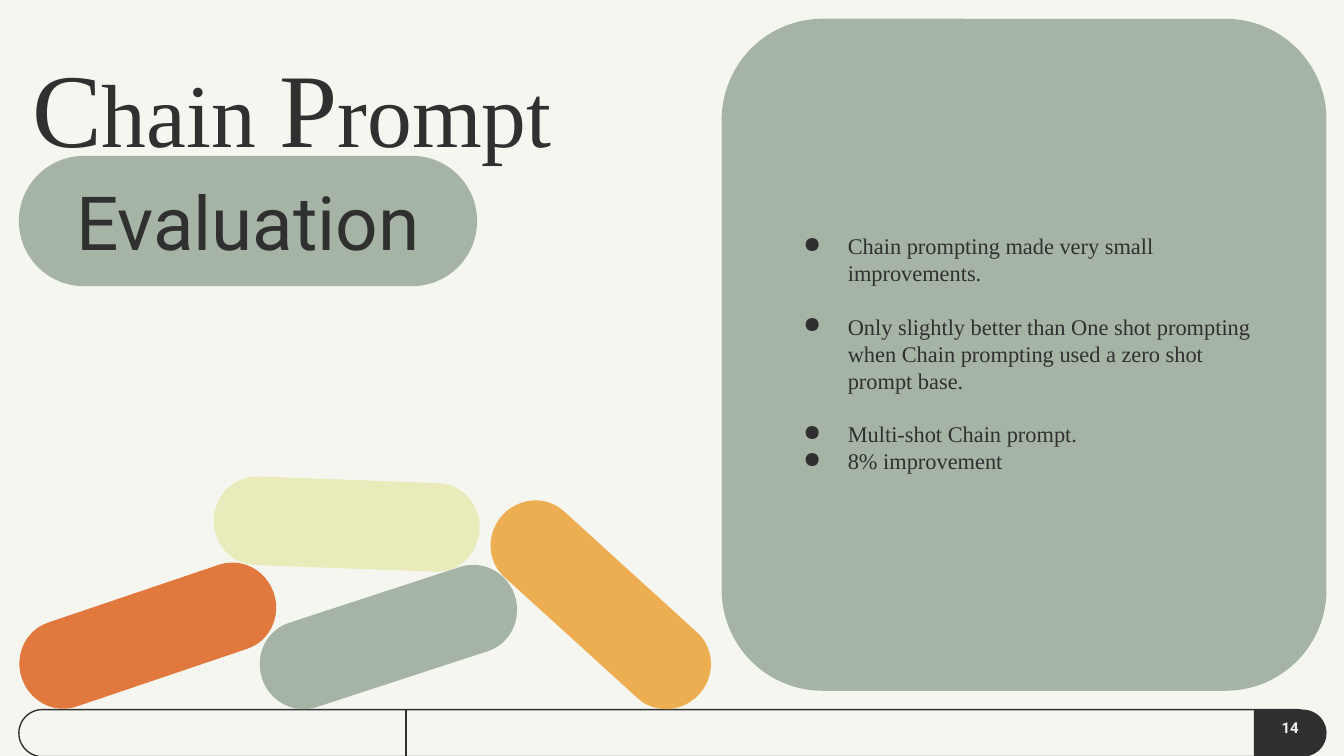
from lxml import etree
from pptx import Presentation
from pptx.dml.color import RGBColor
from pptx.enum.shapes import MSO_CONNECTOR as Link, MSO_SHAPE as Kind
from pptx.enum.text import MSO_ANCHOR as Anchor, PP_ALIGN as Align
from pptx.oxml.ns import qn
from pptx.util import Inches, Pt

INK, PAPER, SAGE = "303030", "F6F6F1", "A5B4A5"
SERIF, SANS = "Times New Roman", "Roboto"
PAD = 0.1


def color(code):
    return RGBColor.from_string(code)


def shape(slide, kind, box, fill=None, line=None, adj=(), turn=0):
    item = slide.shapes.add_shape(kind, *map(Inches, box))
    item.shadow.inherit = False
    item.rotation = turn
    for i, value in enumerate(adj):
        item.adjustments[i] = value
    if fill:
        item.fill.solid()
        item.fill.fore_color.rgb = color(fill)
    else:
        item.fill.background()
    if line:
        item.line.color.rgb = color(line)
        item.line.width = Pt(0.75)
    else:
        item.line.fill.background()
    return item


def frame(item, anchor=Anchor.TOP, top=PAD):
    text = item.text_frame
    form = {"word_wrap": True, "vertical_anchor": anchor,
            "margin_left": Inches(PAD), "margin_right": Inches(PAD),
            "margin_top": Inches(top), "margin_bottom": Inches(PAD)}
    for name, value in form.items():
        setattr(text, name, value)
    return text


def write(para, words, size, face, tint=INK, bold=False):
    run = para.add_run()
    run.text = words
    form = {"size": Pt(size), "name": face, "bold": bold}
    for name, value in form.items():
        setattr(run.font, name, value)
    run.font.color.rgb = color(tint)


def bullet(para):
    props = para._p.get_or_add_pPr()
    props.set("marL", str(Inches(0.5)))
    props.set("indent", str(Inches(-0.33)))
    tint = etree.SubElement(props, qn("a:buClr"))
    etree.SubElement(tint, qn("a:srgbClr"), val=INK)
    etree.SubElement(props, qn("a:buChar"), char="●")


def footer(slide, left, top, width, high, page):
    # Sideways shapes: the rounded top turns to the right
    def side(x, wide, adj, **look):
        box = (x + (wide - high) / 2, top - (wide - high) / 2, high, wide)
        shape(slide, Kind.ROUND_2_SAME_RECTANGLE, box, adj=adj, turn=90, **look)

    cap = 0.54
    side(left, width - 0.05, (0.5, 0.5), line=INK)
    x = left + 2.88
    rule = slide.shapes.add_connector(
        Link.STRAIGHT, *map(Inches, (x, top, x, top + high)))
    rule.line.color.rgb = color(INK)
    rule.line.width = Pt(0.75)
    etree.SubElement(rule._element.spPr, qn("a:effectLst"))
    side(left + width - cap, cap, (0.5, 0), fill=INK)

    # Page number
    box = (left + width - cap, top, cap, high)
    para = frame(slide.shapes.add_textbox(*map(Inches, box))).paragraphs[0]
    para.alignment = Align.CENTER
    write(para, page, 8, SANS, PAPER, True)


def panel(slide, left, top, width, high, points):
    shape(slide, Kind.ROUNDED_RECTANGLE, (left, top, width, high), SAGE,
          adj=(0.167,))
    box = (left + 0.34, top + 0.26, width - 0.68, high - 0.54)
    text = frame(slide.shapes.add_textbox(*map(Inches, box)), Anchor.MIDDLE)
    for i, (words, gap) in enumerate(points):
        para = text.add_paragraph() if i else text.paragraphs[0]
        para.line_spacing = Pt(14.4)
        para.space_before = Pt(gap)
        bullet(para)
        write(para, words, 12, SERIF)


def heading(slide, left, top, width, high, parts, label):
    # Title with large initials
    box = slide.shapes.add_textbox(*map(Inches, (left, top, width, high)))
    para = frame(box, top=0.18).paragraphs[0]
    for words, size in parts:
        write(para, words, size, SERIF)

    # Label pill
    pill = shape(slide, Kind.ROUNDED_RECTANGLE, (left, top + 1.02, 3.41, 0.97),
                 SAGE, adj=(0.5,))
    para = frame(pill, Anchor.MIDDLE).paragraphs[0]
    para.alignment = Align.CENTER
    write(para, label, 40, SANS)


def pills(slide, left, top, items):
    for x, y, turn, fill in items:
        shape(slide, Kind.FLOWCHART_TERMINATOR,
              (left + x, top + y, 1.98, 0.66), fill, turn=turn)


def main():
    deck = Presentation()
    deck.slide_width = Inches(10)
    deck.slide_height = deck.slide_width * 9 // 16
    slide = deck.slides.add_slide(deck.slide_layouts[6])
    slide.background.fill.solid()
    slide.background.fill.fore_color.rgb = color(PAPER)

    footer(slide, 0.14, 5.28, 9.73, 0.35, "14")
    panel(slide, 5.37, 0.14, 4.5, 5, [
        ("Chain prompting made very small improvements.", 0),
        ("Only slightly better than One shot prompting when Chain prompting "
         "used a zero shot prompt base.", 14.4),
        ("Multi-shot Chain prompt.", 14.4),
        ("8% improvement", 0)])
    pills(slide, 0.11, 3.57, [
        (0, 0.83, 341.3, "E1783D"),
        (1.48, 0, 2.1, "EAEBBA"),
        (1.79, 0.84, 341.9, SAGE),
        (3.37, 0.6, 42.3, "EDAD51")])
    heading(slide, 0.14, 0.14, 5.73, 3.35,
            [("C", 56), ("hain", 48), (" ", 50), ("P", 56), ("rompt", 48)],
            "Evaluation")
    deck.save("out.pptx")


if __name__ == "__main__":
    main()
